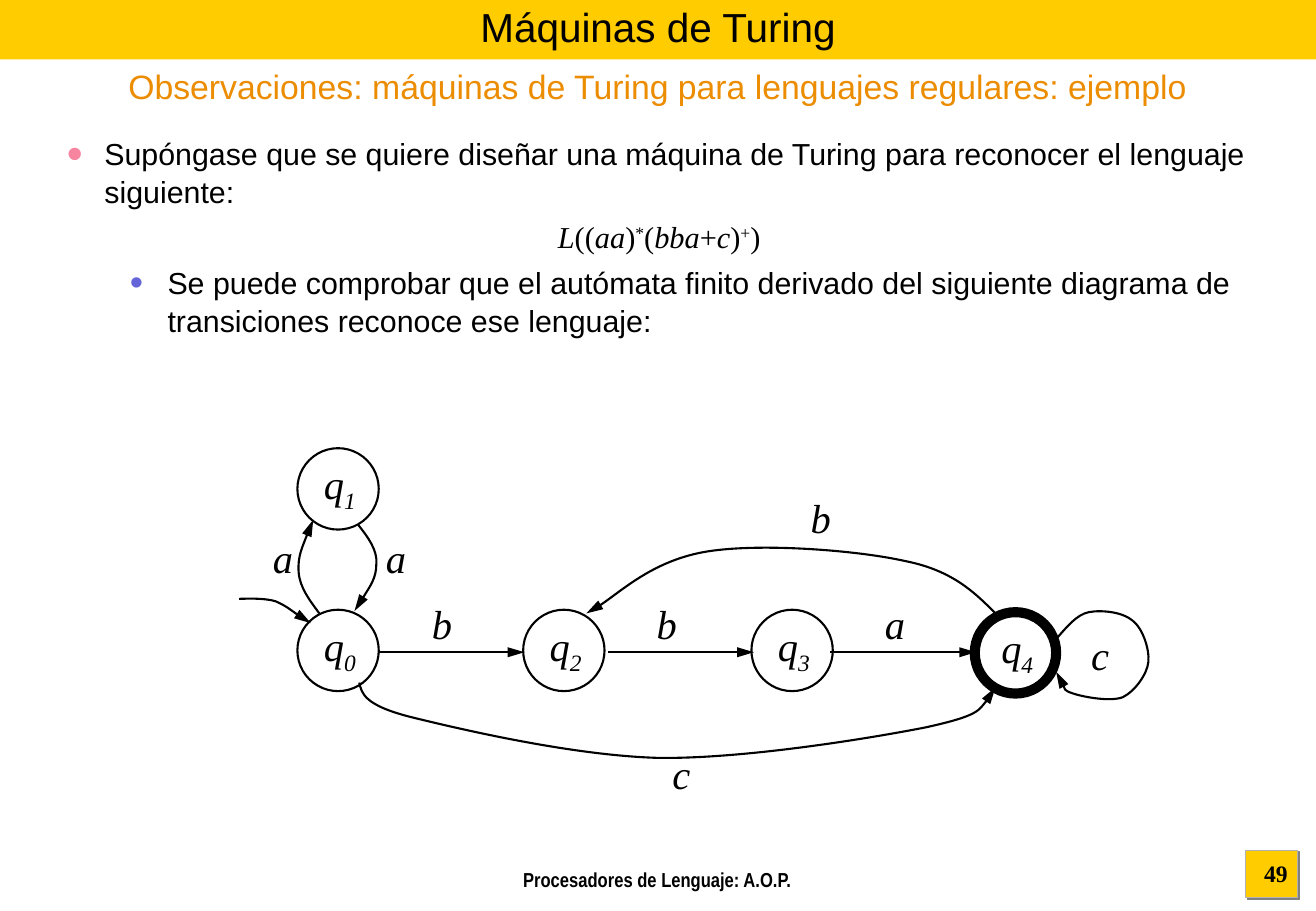
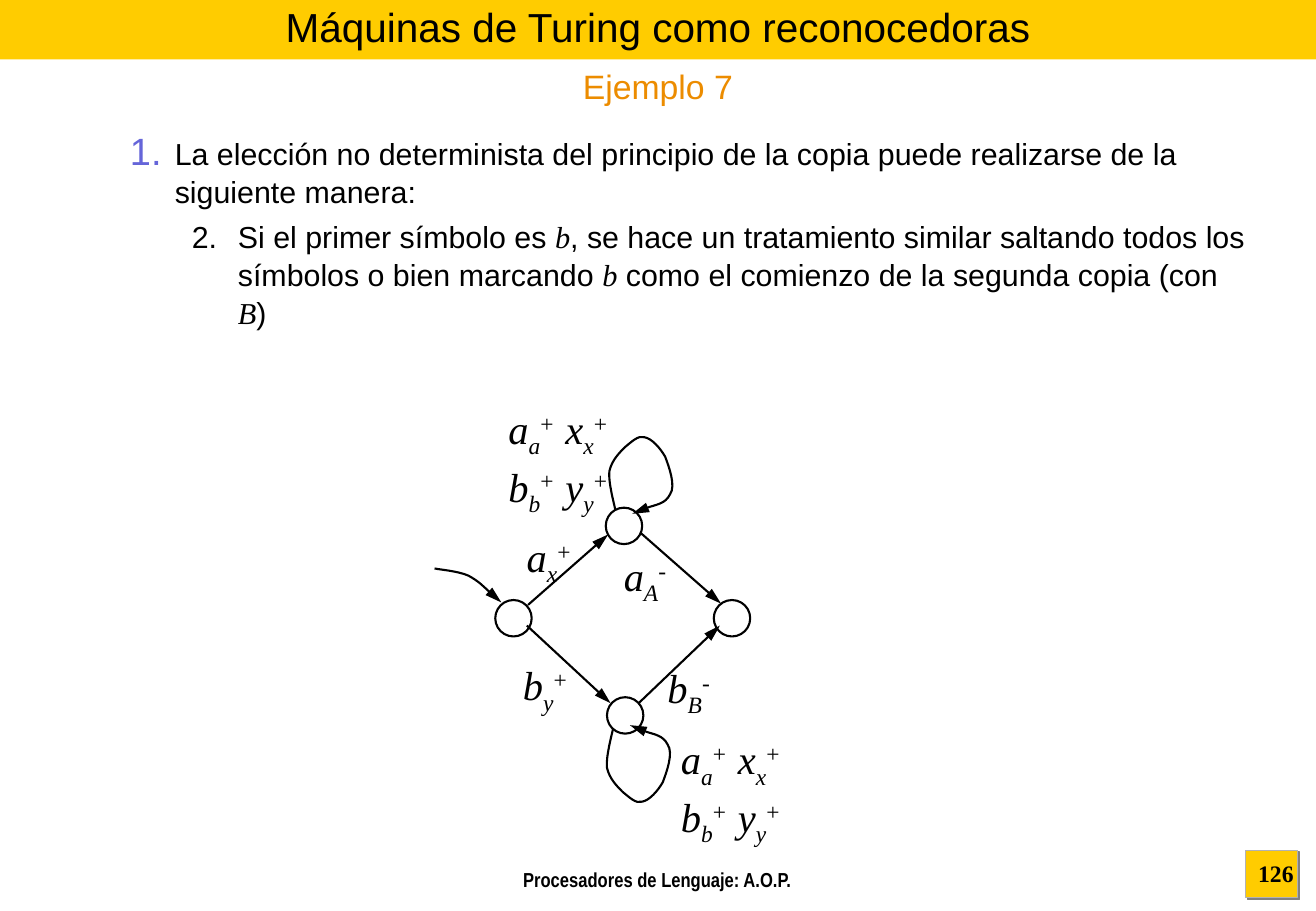
from lxml.etree import SubElement
from pptx import Presentation
from pptx.dml.color import RGBColor
from pptx.enum.shapes import MSO_CONNECTOR, MSO_SHAPE
from pptx.enum.text import MSO_ANCHOR, MSO_AUTO_SIZE, PP_ALIGN
from pptx.oxml.ns import qn
from pptx.util import Inches, Pt

BLACK = RGBColor(0x00, 0x00, 0x00)
WHITE = RGBColor(0xFF, 0xFF, 0xFF)
YELLOW = RGBColor(0xFF, 0xCC, 0x00)
GREY = RGBColor(0xB2, 0xB2, 0xB2)
SHADE = RGBColor(0x80, 0x80, 0x80)
ORANGE = RGBColor(0xEC, 0x8C, 0x00)
PINK = RGBColor(0xF7, 0x85, 0xA0)
VIOLET = RGBColor(0x65, 0x65, 0xD9)

SANS, NARROW, SERIF = "Arial", "Arial Narrow", "Times New Roman"
WIDTH, HEIGHT = 10.84, 7.5
LINE_SPACING = 1.04
SUB, SUP = -25, 30
STATE, NODE = 0.67, 0.3


def inches(*lengths):
    return [Inches(length) for length in lengths]


def style_run(run, size, font=SANS, color=BLACK, bold=False, italic=False,
              baseline=0):
    run.font.size = Pt(size)
    run.font.name = font
    run.font.color.rgb = color
    run.font.bold = bold
    run.font.italic = italic
    if baseline:
        run.font._element.set("baseline", str(baseline * 1000))


def add_run(paragraph, text, size, **style):
    run = paragraph.add_run()
    run.text = text
    style_run(run, size, **style)


def add_symbol(paragraph, symbol):
    """Write a letter with its subscript and superscript, such as ax+."""
    paragraph.line_spacing = LINE_SPACING
    for letter, baseline in zip(symbol, (0, SUB, SUP)):
        add_run(paragraph, letter, 24, font=SERIF, italic=baseline != SUP,
                baseline=baseline)


def add_caption(slide, box, text, size, **style):
    caption = slide.shapes.add_textbox(*inches(*box))
    frame = caption.text_frame
    frame.word_wrap = True
    frame.text = text
    frame.paragraphs[0].alignment = PP_ALIGN.CENTER
    style_run(frame.paragraphs[0].runs[0], size, **style)
    return caption


def fill_shape(shape, fill, line=None, width=0.75):
    shape.shadow.inherit = False
    shape.fill.solid()
    shape.fill.fore_color.rgb = fill
    if line is None:
        shape.line.fill.background()
    else:
        shape.line.color.rgb = line
        shape.line.width = Pt(width)


def add_arrowhead(line):
    line.line.color.rgb = BLACK
    line.line.width = Pt(1.25)
    outline = line.element.spPr.find(qn("a:ln"))
    SubElement(outline, qn("a:tailEnd"), type="triangle", w="med", len="lg")


class Diagram:
    """A state diagram whose parts are placed from its left top corner."""

    def __init__(self, slide, left, top):
        self.shapes = slide.shapes
        self.left, self.top = left, top

    def place(self, x, y):
        return inches(self.left + x, self.top + y)

    def state(self, x, y, size, symbol="", width=1.25):
        circle = self.shapes.add_shape(MSO_SHAPE.OVAL, *self.place(x, y),
                                       *inches(size, size))
        fill_shape(circle, WHITE, BLACK, width)
        if symbol:
            frame = circle.text_frame
            frame.word_wrap = False
            frame.vertical_anchor = MSO_ANCHOR.MIDDLE
            frame.margin_left, frame.margin_right = inches(0.03, 0)
            frame.margin_top, frame.margin_bottom = inches(0, 0.05)
            frame.paragraphs[0].alignment = PP_ALIGN.CENTER
            add_symbol(frame.paragraphs[0], symbol)

    def edge(self, start, end):
        line = self.shapes.add_connector(
            MSO_CONNECTOR.STRAIGHT, *self.place(*start), *self.place(*end))
        add_arrowhead(line)
        SubElement(line.element.spPr, qn("a:effectLst"))

    def curve(self, points):
        """Draw an arrow along Bézier curves: a start, then three points each."""
        start, *controls = [self.place(*point) for point in points]
        builder = self.shapes.build_freeform(*start)
        builder.add_line_segments(controls, close=False)
        arrow = builder.convert_to_shape()
        arrow.shadow.inherit = False
        arrow.fill.background()
        add_arrowhead(arrow)
        outline = next(arrow.element.iter(qn("a:path")))
        corners = outline.findall(qn("a:lnTo"))
        for first in range(0, len(corners), 3):
            bezier = SubElement(outline, qn("a:cubicBezTo"))
            for corner in corners[first:first + 3]:
                bezier.append(corner[0])
                outline.remove(corner)

    def label(self, x, y, *symbols):
        box = self.shapes.add_textbox(*self.place(x, y),
                                      *inches(0.67, 0.1 + 0.45 * len(symbols)))
        frame = box.text_frame
        frame.word_wrap = True
        for index, symbol in enumerate(symbols):
            line = frame.add_paragraph() if index else frame.paragraphs[0]
            add_symbol(line, symbol)


def set_bullet(paragraph, margin, hanging, color=None, percent=100, char=None,
               start=1):
    """Give a bullet character, a number, or neither when color is None."""
    props = paragraph._p.get_or_add_pPr()
    props.set("marL", str(Inches(margin)))
    props.set("indent", str(-Inches(hanging)))
    if color is None:
        SubElement(props, qn("a:buNone"))
        return
    SubElement(SubElement(props, qn("a:buClr")), qn("a:srgbClr"), val=str(color))
    SubElement(props, qn("a:buSzPct"), val=str(percent * 1000))
    SubElement(props, qn("a:buFont"), typeface=SANS)
    if char:
        SubElement(props, qn("a:buChar"), char=char)
    else:
        SubElement(props, qn("a:buAutoNum"), type="arabicPeriod",
                   startAt=str(start))


def fill_body(body, items):
    """Write items of level, alignment, bullet and (text, style) pairs."""
    frame = body.text_frame
    frame.auto_size = MSO_AUTO_SIZE.NONE
    for index, (level, alignment, bullet, pieces) in enumerate(items):
        item = frame.add_paragraph() if index else frame.paragraphs[0]
        set_bullet(item, **bullet)
        item.level = level
        item.alignment = alignment
        item.line_spacing = LINE_SPACING
        item.space_before = Pt(4.5 if index else 0)
        for text, style in pieces:
            add_run(item, text, 18, **style)


def dress_layout(layout, slide):
    """Move the band, the page box and the footer from slide to layout."""
    band = slide.shapes.add_shape(MSO_SHAPE.RECTANGLE,
                                  *inches(0, 0, WIDTH, 0.49))
    fill_shape(band, YELLOW)
    page_box = slide.shapes.add_shape(MSO_SHAPE.RECTANGLE,
                                      *inches(10.26, 7, 0.43, 0.39))
    fill_shape(page_box, YELLOW, GREY)
    effects = page_box.element.spPr.find(qn("a:effectLst"))
    shadow = SubElement(effects, qn("a:outerShdw"), dist=str(Pt(1.4)),
                        dir="2700000", algn="tl", rotWithShape="0")
    SubElement(shadow, qn("a:srgbClr"), val=str(SHADE))
    footer = add_caption(slide, (3.01, 7.09, 4.81, 0.18),
                         "Procesadores de Lenguaje: A.O.P.", 12, font=NARROW,
                         bold=True)
    for part in (footer, page_box, band):
        layout.shapes.element.insert(2, part.element)


def add_page(deck, title, subtitle, number, items):
    layout = deck.slide_layouts[1]
    slide = deck.slides.add_slide(layout)
    if len(deck.slides) == 1:
        dress_layout(layout, slide)
    heading, body = slide.shapes.title, slide.placeholders[1]
    for part, box in ((heading, (0, 0, WIDTH, 0.44)),
                      (body, (0.45, 1.05, 9.96, 5.8))):
        part.left, part.top, part.width, part.height = inches(*box)
    frame = heading.text_frame
    frame.text = title
    frame.auto_size = MSO_AUTO_SIZE.NONE
    frame.vertical_anchor = MSO_ANCHOR.MIDDLE
    frame.paragraphs[0].alignment = PP_ALIGN.CENTER
    style_run(frame.paragraphs[0].runs[0], 24)
    fill_body(body, items)
    add_caption(slide, (0, 0.49, WIDTH, 0.44), subtitle, 20, color=ORANGE)
    add_caption(slide, (10.24, 7.02, 0.54, 0.35), number, 14, font=SERIF,
                bold=True)
    return slide


def draw_automaton(slide, left, top):
    diagram = Diagram(slide, left, top)
    for symbol, x, y, width in (("q0", 1.45, 2.02, 1.25), ("q1", 1.45, 0.69, 1.25),
                                ("q2", 3.31, 2.02, 1.25), ("q3", 5.19, 2.02, 1.25),
                                ("q4", 7.03, 2.04, 6)):
        diagram.state(x, y, STATE, symbol, width)
    for x in (2.12, 4.01, 5.84):
        diagram.edge((x, 2.37), (x + 1.2, 2.37))
    entry = [(0.97, 1.93), (1.02, 1.93), (1.17, 1.92), (1.27, 1.95),
             (1.36, 1.99), (1.5, 2.1), (1.56, 2.13)]
    q0_to_q1 = [(1.63, 2.05), (1.55, 1.94), (1.47, 1.84), (1.46, 1.71),
                (1.45, 1.58), (1.55, 1.35), (1.58, 1.28)]
    q1_to_q0 = [(1.95, 1.32), (2.03, 1.42), (2.11, 1.53), (2.1, 1.64),
                (2.1, 1.76), (2.01, 1.89), (1.92, 2.03)]
    q0_to_q4 = [(1.96, 2.62), (1.98, 2.71), (2, 2.81), (2.41, 2.91),
                (2.82, 3.01), (3.72, 3.22), (4.42, 3.24), (5.12, 3.25),
                (6.16, 3.08), (6.62, 2.99), (7.08, 2.89), (7.14, 2.77),
                (7.2, 2.66)]
    q4_to_q2 = [(7.22, 2.07), (7.04, 1.89), (6.86, 1.7), (6.46, 1.62),
                (6.06, 1.53), (5.27, 1.47), (4.83, 1.54), (4.39, 1.61),
                (3.96, 2), (3.83, 2.05)]
    q4_loop = [(7.71, 2.25), (7.79, 2.16), (7.87, 2.06), (7.97, 2.04),
               (8.08, 2.02), (8.25, 2.04), (8.33, 2.11), (8.41, 2.17),
               (8.47, 2.34), (8.46, 2.45), (8.45, 2.55), (8.35, 2.69),
               (8.25, 2.74), (8.15, 2.78), (7.93, 2.74), (7.84, 2.71),
               (7.75, 2.68), (7.72, 2.56), (7.7, 2.53)]
    for points in (entry, q0_to_q1, q1_to_q0, q0_to_q4, q4_to_q2, q4_loop):
        diagram.curve(points)
    for symbol, x, y in (("a", 1.15, 1.32), ("a", 2.08, 1.32), ("b", 2.46, 1.87),
                         ("b", 4.31, 1.87), ("a", 6.19, 1.87), ("b", 5.58, 0.99),
                         ("c", 7.89, 2.12), ("c", 4.44, 3.1)):
        diagram.label(x, y, symbol)


def draw_copy_choice(slide, left, top):
    diagram = Diagram(slide, left, top)
    for x, y in ((1.08, 1.94), (1.99, 1.18), (2.88, 1.94), (2, 2.74)):
        diagram.state(x, y, NODE)
    for start, end in (((1.35, 1.98), (2.01, 1.4)), ((2.28, 1.39), (2.94, 1.97)),
                       ((1.34, 2.15), (2.03, 2.79)), ((2.26, 2.79), (2.93, 2.15))):
        diagram.edge(start, end)
    entry = [(0.58, 1.68), (0.62, 1.69), (0.77, 1.7), (0.86, 1.74),
             (0.95, 1.79), (1.07, 1.91), (1.13, 1.96)]
    upper_loop = [(2.07, 1.2), (2.06, 1.15), (2.01, 0.97), (2.02, 0.88),
                  (2.04, 0.79), (2.1, 0.73), (2.15, 0.68), (2.2, 0.64),
                  (2.26, 0.58), (2.31, 0.6), (2.37, 0.61), (2.44, 0.69),
                  (2.48, 0.76), (2.51, 0.84), (2.57, 1), (2.52, 1.07),
                  (2.48, 1.15), (2.27, 1.19), (2.21, 1.23)]
    lower_loop = [(x - 0.02, 4.2 - y) for x, y in upper_loop]
    for points in (entry, upper_loop, lower_loop):
        diagram.curve(points)
    for symbol, x, y in (("ax+", 1.24, 1.31), ("aA-", 2.04, 1.47),
                         ("by+", 1.21, 2.37), ("bB-", 2.4, 2.39)):
        diagram.label(x, y, symbol)
    for x, y in ((1.09, 0.26), (2.51, 2.98)):
        diagram.label(x, y, "aa+", "bb+")
        diagram.label(x + 0.47, y, "xx+", "yy+")


def main():
    deck = Presentation()
    deck.slide_width, deck.slide_height = inches(WIDTH, HEIGHT)
    left, center = PP_ALIGN.LEFT, PP_ALIGN.CENTER
    plain, math, upright = {}, {"font": SERIF, "italic": True}, {"font": SERIF}
    power = {"font": SERIF, "baseline": SUP}

    regular = add_page(
        deck, "Máquinas de Turing",
        "Observaciones: máquinas de Turing para lenguajes regulares: ejemplo", "49",
        [(0, left, dict(margin=0.31, hanging=0.31, color=PINK, percent=150, char="•"),
          [("Supóngase que se quiere diseñar una máquina de Turing para reconocer "
            "el lenguaje siguiente:", plain)]),
         (0, center, dict(margin=0.31, hanging=0.31),
          [("L", math), ("((", upright), ("aa", math), (")", upright), ("*", power),
           ("(", upright), ("bba", math), ("+", upright), ("c", math),
           (")", upright), ("+", power), (")", upright)]),
         (1, left, dict(margin=0.83, hanging=0.31, color=VIOLET, percent=125, char="•"),
          [("Se puede comprobar que el autómata finito derivado del siguiente "
            "diagrama de transiciones reconoce ese lenguaje:", plain)])])
    draw_automaton(regular, 1, 3)

    example = add_page(
        deck, "Máquinas de Turing como reconocedoras", "Ejemplo 7", "126",
        [(1, left, dict(margin=0.89, hanging=0.37, color=VIOLET, percent=125),
          [("La elección no determinista del principio de la copia puede "
            "realizarse de la siguiente manera:", plain)]),
         (2, left, dict(margin=1.41, hanging=0.38, color=BLACK, start=2),
          [("Si el primer símbolo es ", plain), ("b", math),
           (", se hace un tratamiento similar saltando todos los símbolos o bien "
            "marcando ", plain), ("b", math),
           (" como el comienzo de la segunda copia (con ", plain), ("B", math),
           (")", plain)])])
    draw_copy_choice(example, 3, 3)
    deck.save("out.pptx")


if __name__ == "__main__":
    main()
